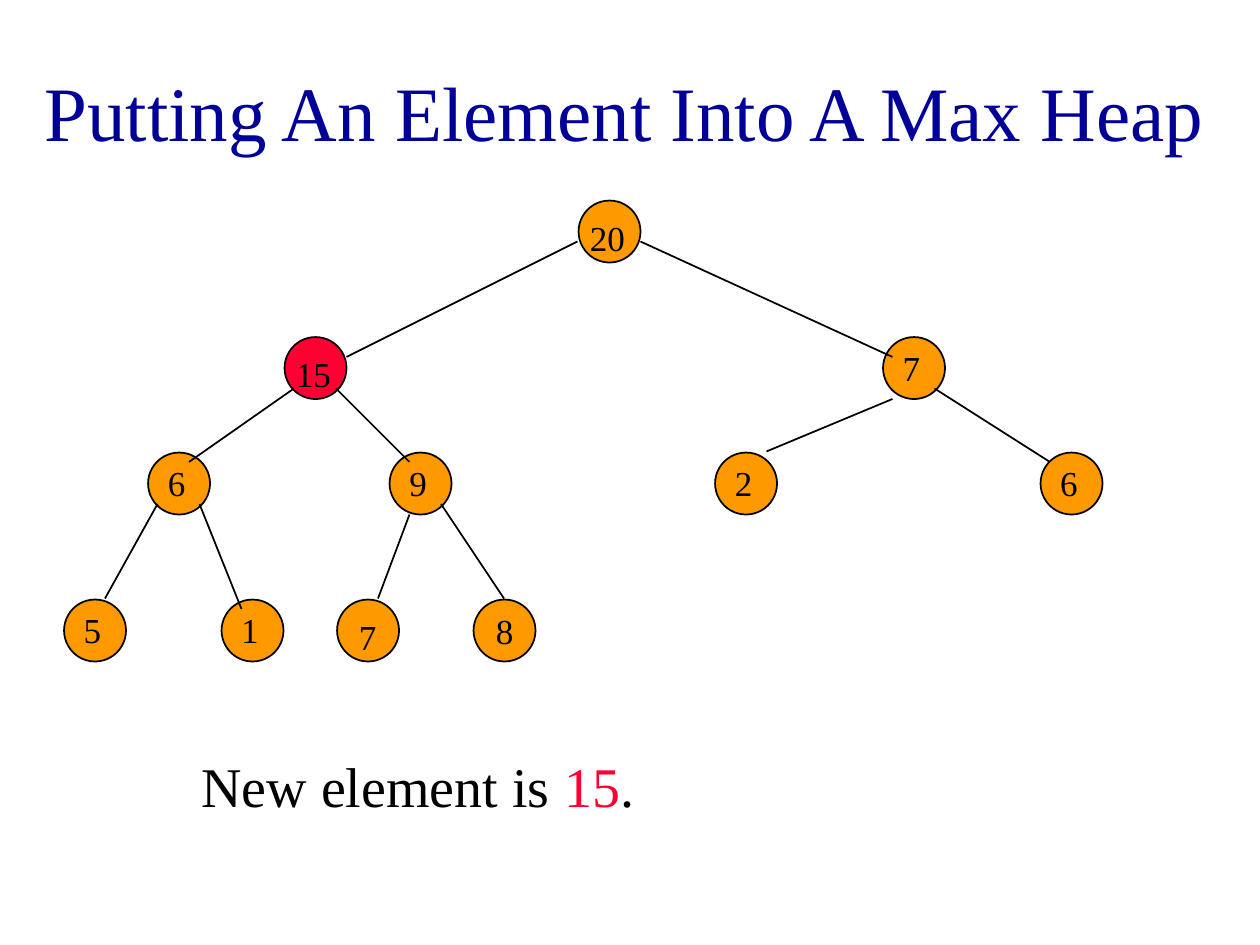
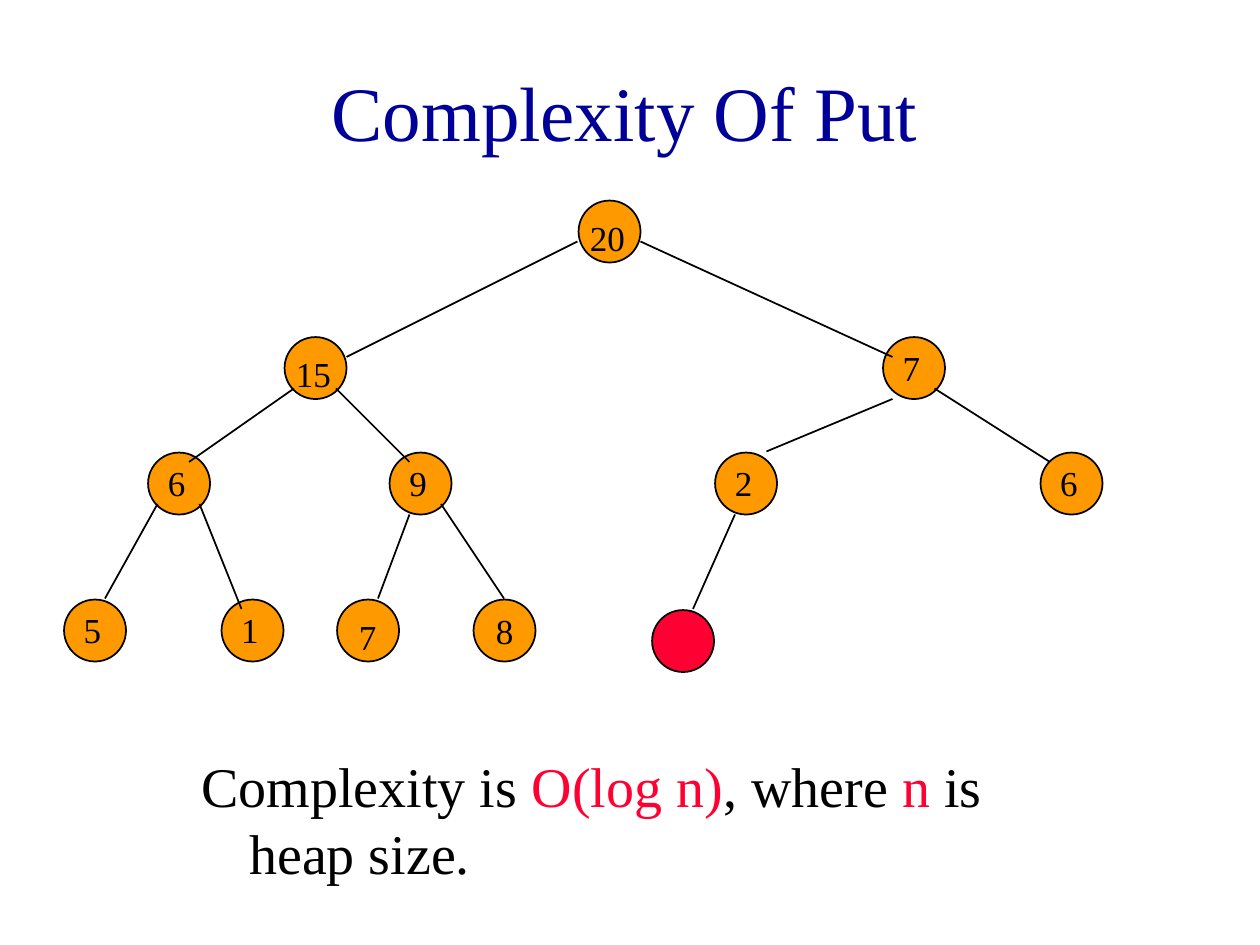
"""Build two slides that show insertion into a max heap drawn as a tree."""
from dataclasses import dataclass, replace
from typing import Any, Optional

from lxml import etree
from pptx import Presentation
from pptx.dml.color import RGBColor
from pptx.enum.shapes import MSO_CONNECTOR, MSO_SHAPE
from pptx.enum.text import MSO_ANCHOR, MSO_AUTO_SIZE, PP_ALIGN
from pptx.oxml.ns import qn
from pptx.util import Inches, Pt

NAVY = RGBColor(0x00, 0x00, 0x99)
BLACK = RGBColor(0x00, 0x00, 0x00)
RED = RGBColor(0xFF, 0x00, 0x33)
ORANGE = RGBColor(0xFF, 0x99, 0x00)

OVAL = MSO_SHAPE.OVAL
STRAIGHT = MSO_CONNECTOR.STRAIGHT
LEFT, CENTER = PP_ALIGN.LEFT, PP_ALIGN.CENTER
TOP, MIDDLE = MSO_ANCHOR.TOP, MSO_ANCHOR.MIDDLE
FIXED, GROW = MSO_AUTO_SIZE.NONE, MSO_AUTO_SIZE.SHAPE_TO_FIT_TEXT

SLIDE_WIDTH, SLIDE_HEIGHT = Inches(10), Inches(7.5)
COLUMNS, ROWS = 120, 90
FONT = "Times New Roman"
TITLE_SIZE, CAPTION_SIZE, VALUE_SIZE = Pt(44), Pt(32), Pt(20)
CAPTION_INDENT = Inches(0.38)
NODE_SPAN, NODE_INSET = 5.9, 0.1
LABEL_ROWS = 5.2
MARGINS = {
    "margin_left": Inches(0.1), "margin_right": Inches(0.1),
    "margin_top": Inches(0.05), "margin_bottom": Inches(0.05),
}
TITLE_FRAME = {"word_wrap": True, "vertical_anchor": MIDDLE, "auto_size": FIXED}
CAPTION_FRAME = {"word_wrap": True, "vertical_anchor": TOP, "auto_size": FIXED}
INNER_FRAME = {"word_wrap": False, "vertical_anchor": MIDDLE}


@dataclass(frozen=True)
class Run:
    """A piece of text in one colour."""
    text: str
    color: RGBColor = BLACK


@dataclass(frozen=True)
class Label:
    """Place of a value's box, counted from its node's grid cell."""
    column: float
    row: float
    columns: float
    wraps: bool


DIGIT = Label(0.8, 0.4, 4.1, False)


@dataclass(frozen=True)
class Node:
    """A heap element; without a label its value sits inside the circle."""
    value: str
    column: int
    row: int
    label: Optional[Label] = DIGIT
    color: RGBColor = ORANGE


@dataclass(frozen=True)
class Edge:
    """A parent to child line between two grid points."""
    start: tuple[int, int]
    end: tuple[int, int]


ROOT = Node("20", 55, 19, Label(0, 1, 11, True))
FIFTEEN = Node("15", 27, 32, Label(0, 1, 10, True))
OTHER_NODES = [
    Node("7", 84, 32),
    Node("6", 14, 43), Node("9", 37, 43), Node("2", 68, 43), Node("6", 99, 43),
    Node("5", 6, 57), Node("1", 21, 57),
    Node("7", 32, 57, Label(1, 1, 3, True)),
    Node("8", 45, 57, None),
]
EDGES = [
    Edge((55, 23), (33, 34)), Edge((61, 23), (85, 34)),
    Edge((28, 37), (18, 44)), Edge((32, 37), (39, 44)),
    Edge((85, 38), (73, 43)), Edge((89, 37), (100, 44)),
    Edge((15, 48), (10, 57)), Edge((19, 48), (23, 58)),
    Edge((39, 49), (36, 57)), Edge((42, 48), (48, 57)),
]
NEW_NODE = Node("", 62, 58, None, RED)
NEW_EDGE = Edge((70, 49), (66, 58))


def across(columns: float) -> int:
    """Turn grid columns into a length."""
    return round(SLIDE_WIDTH * columns / COLUMNS)


def down(rows: float) -> int:
    """Turn grid rows into a length."""
    return round(SLIDE_HEIGHT * rows / ROWS)


def apply(target: Any, values: dict[str, Any]) -> None:
    """Set every format value on the target."""
    for attribute, value in values.items():
        setattr(target, attribute, value)


def write(shape: Any, runs: list[Run], size: int, align: Any, frame: dict[str, Any]) -> Any:
    """Write coloured runs as one paragraph and return the paragraph."""
    apply(shape.text_frame, MARGINS | frame)
    paragraph = shape.text_frame.paragraphs[0]
    paragraph.alignment = align
    for part in runs:
        run = paragraph.add_run()
        run.text = part.text
        apply(run.font, {"name": FONT, "size": size})
        run.font.color.rgb = part.color
    return paragraph


def add_box(shapes: Any, column: float, row: float, columns: float, rows: float) -> Any:
    """Add a text box placed on the grid."""
    return shapes.add_textbox(across(column), down(row), across(columns), down(rows))


def draw_node(shapes: Any, node: Node) -> None:
    """Draw a node's circle, with its value if it has no label box."""
    circle = shapes.add_shape(
        OVAL, across(node.column + NODE_INSET), down(node.row + NODE_INSET),
        across(NODE_SPAN), down(NODE_SPAN))
    circle.shadow.inherit = False
    circle.fill.solid()
    circle.fill.fore_color.rgb = node.color
    circle.line.color.rgb = BLACK
    circle.line.width = Pt(1)
    if node.value and node.label is None:
        write(circle, [Run(node.value)], VALUE_SIZE, CENTER, INNER_FRAME)


def draw_edge(shapes: Any, edge: Edge) -> None:
    """Draw a plain line between parent and child."""
    (start_column, start_row), (end_column, end_row) = edge.start, edge.end
    line = shapes.add_connector(
        STRAIGHT, across(start_column), down(start_row), across(end_column), down(end_row))
    line.line.color.rgb = BLACK
    line.line.width = Pt(1)
    etree.SubElement(line._element.spPr, qn("a:effectLst"))


def draw_label(shapes: Any, node: Node, label: Label) -> None:
    """Write a node's value in its own box."""
    box = add_box(shapes, node.column + label.column, node.row + label.row,
                  label.columns, LABEL_ROWS)
    frame = {"word_wrap": label.wraps, "vertical_anchor": TOP, "auto_size": GROW}
    write(box, [Run(node.value)], VALUE_SIZE, LEFT, frame)


def draw_tree(shapes: Any, nodes: list[Node], edges: list[Edge]) -> None:
    """Draw circles, then lines, then values."""
    for node in nodes:
        draw_node(shapes, node)
    for edge in edges:
        draw_edge(shapes, edge)
    for node in nodes:
        if node.label:
            draw_label(shapes, node, node.label)


def add_heap_slide(deck: Any, title: str, caption: list[Run]) -> Any:
    """Add a blank slide with the shared title and caption."""
    slide = deck.slides.add_slide(deck.slide_layouts[6])
    heading = add_box(slide.shapes, 1, 3, 117, 15)
    write(heading, [Run(title, NAVY)], TITLE_SIZE, CENTER, TITLE_FRAME)
    statement = add_box(slide.shapes, 18, 71, 84, 3)
    paragraph = write(statement, caption, CAPTION_SIZE, LEFT, CAPTION_FRAME)
    paragraph.space_before = Pt(8)
    properties = paragraph._p.get_or_add_pPr()
    properties.set("marL", str(CAPTION_INDENT))
    properties.set("indent", str(-CAPTION_INDENT))
    return slide


def main() -> None:
    """Build and save the deck."""
    deck = Presentation()
    apply(deck, {"slide_width": SLIDE_WIDTH, "slide_height": SLIDE_HEIGHT})

    putting = add_heap_slide(
        deck, "Putting An Element Into A Max Heap",
        [Run("New element is "), Run("15", RED), Run(".")])
    draw_tree(putting.shapes, [ROOT, replace(FIFTEEN, color=RED), *OTHER_NODES], EDGES)

    complexity = add_heap_slide(
        deck, "Complexity Of Put",
        [Run("Complexity is "), Run("O(log n)", RED), Run(", where "),
         Run("n ", RED), Run("is heap size.")])
    heap = complexity.shapes.add_group_shape()
    draw_tree(heap.shapes, [ROOT, FIFTEEN, *OTHER_NODES], EDGES)
    addition = complexity.shapes.add_group_shape()
    draw_tree(addition.shapes, [NEW_NODE], [NEW_EDGE])

    deck.save("out.pptx")


if __name__ == "__main__":
    main()
